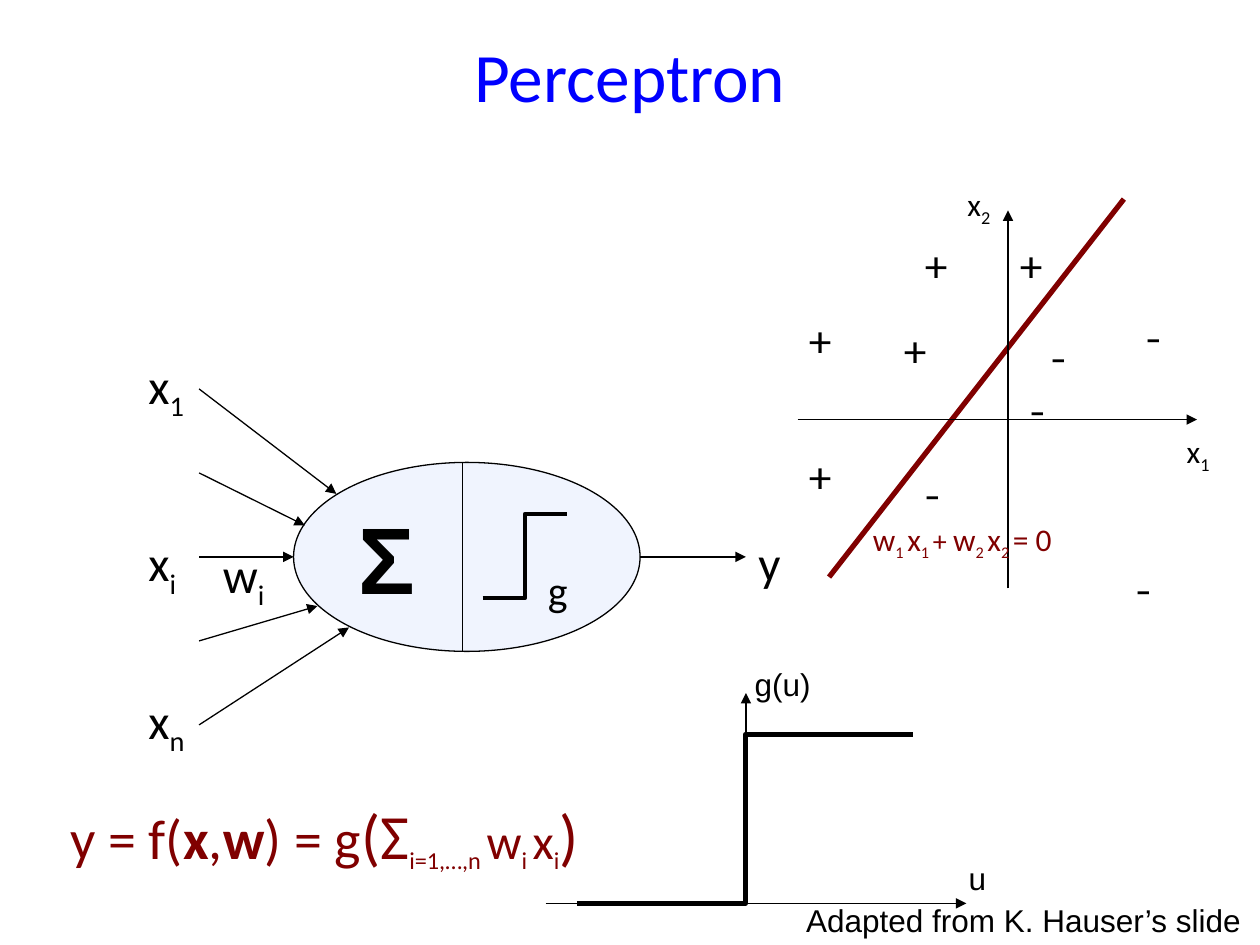
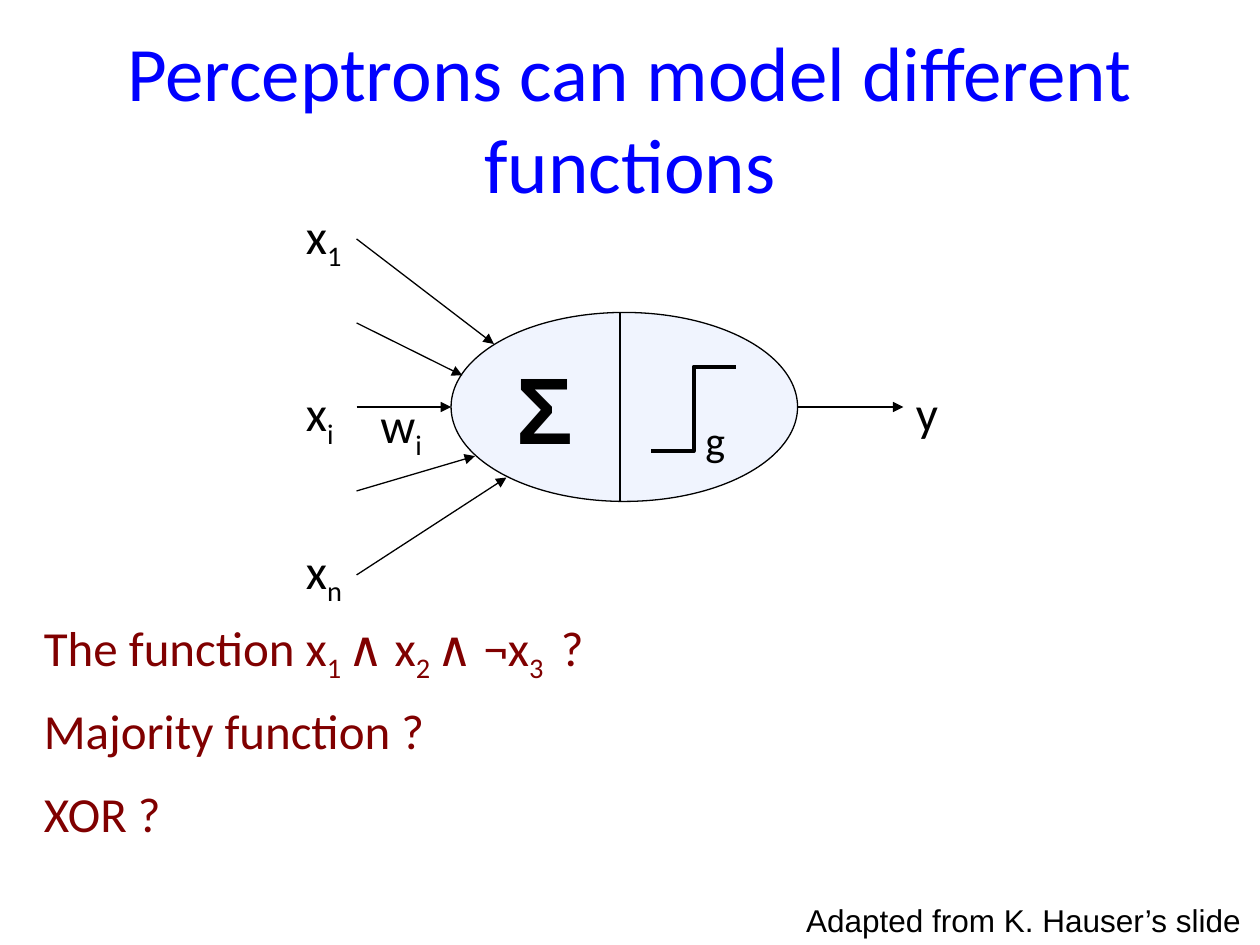
from dataclasses import dataclass

from lxml import etree
from pptx import Presentation
from pptx.dml.color import RGBColor
from pptx.enum.shapes import MSO_CONNECTOR, MSO_SHAPE
from pptx.enum.text import MSO_ANCHOR, MSO_AUTO_SIZE, PP_ALIGN
from pptx.oxml.ns import qn
from pptx.util import Inches, Pt

STRAIGHT = MSO_CONNECTOR.STRAIGHT
OVAL = MSO_SHAPE.OVAL
TOP = MSO_ANCHOR.TOP
MIDDLE = MSO_ANCHOR.MIDDLE
FIT_SHAPE = MSO_AUTO_SIZE.SHAPE_TO_FIT_TEXT
NO_FIT = MSO_AUTO_SIZE.NONE
CENTER = PP_ALIGN.CENTER
TITLE_ONLY = 5
SUBSCRIPT = "-25000"


@dataclass(frozen=True)
class Theme:
    blue: RGBColor = RGBColor(0x00, 0x00, 0xFF)
    maroon: RGBColor = RGBColor(0x80, 0x00, 0x00)
    black: RGBColor = RGBColor(0x00, 0x00, 0x00)
    pale: RGBColor = RGBColor(0xF0, 0xF4, 0xFE)
    main_font: str = "Calibri"
    plain_font: str = "Arial"
    sign_font: str = "Karla"
    title: float = 44
    short_title: float = 39.6
    sigma: float = 54
    bracket: float = 36
    formula: float = 32
    label: float = 28
    sign: float = 24
    small: float = 18
    tiny: float = 16
    thin: float = 0.75
    medium: float = 2.25
    thick: float = 3


THEME = Theme()


@dataclass(frozen=True)
class Part:
    text: str
    size: float = 0
    lowered: bool = False
    bold: bool = False


def low(text, size=0):
    return Part(text, size, lowered=True)


class SlideBuilder:
    def __init__(self, presentation, theme):
        self.presentation = presentation
        self.theme = theme
        self.slide = None
        self.shapes = None

    def new_slide(self, title, size, top=0.3, anchor=MIDDLE):
        layout = self.presentation.slide_layouts[TITLE_ONLY]
        self.slide = self.presentation.slides.add_slide(layout)
        self.shapes = self.slide.shapes
        shape = self.shapes.title
        shape.left, shape.top = Inches(0.5), Inches(top)
        shape.width, shape.height = Inches(9), Inches(1.25)
        frame = shape.text_frame
        frame.text = title
        frame.auto_size = NO_FIT
        frame.vertical_anchor = anchor
        paragraph = frame.paragraphs[0]
        paragraph.alignment = CENTER
        self.style(paragraph.font, self.theme.main_font, size, self.theme.blue)

    def start_group(self):
        self.shapes = self.slide.shapes.add_group_shape().shapes

    def end_group(self):
        self.shapes = self.slide.shapes

    def style(self, font, name, size, color):
        font.name = name
        font.size = Pt(size)
        font.color.rgb = color

    def text(self, left, top, width, height, parts, size, font=None,
             color=None, bold=False, wrap=False):
        box = self.shapes.add_textbox(
            Inches(left), Inches(top), Inches(width), Inches(height))
        frame = box.text_frame
        frame.word_wrap = wrap
        frame.auto_size = FIT_SHAPE
        paragraph = frame.paragraphs[0]
        self.style(paragraph.font, font or self.theme.main_font, size,
                   color or self.theme.black)
        paragraph.font.bold = bold
        for part in [Part(parts)] if isinstance(parts, str) else parts:
            run = paragraph.add_run()
            run.text = part.text
            if part.size:
                run.font.size = Pt(part.size)
            if part.bold:
                run.font.bold = True
            if part.lowered:
                run.font.element.set("baseline", SUBSCRIPT) if hasattr(
                    run.font, "element") else run._r.get_or_add_rPr().set(
                    "baseline", SUBSCRIPT)

    def line(self, start, end, arrow=False, color=None, width=None):
        connector = self.shapes.add_connector(
            STRAIGHT, *(Inches(value) for value in (*start, *end)))
        connector.line.color.rgb = color or self.theme.black
        connector.line.width = Pt(width or self.theme.thin)
        properties = connector.element.spPr
        if arrow:
            outline = properties.find(qn("a:ln"))
            etree.SubElement(outline, qn("a:tailEnd"), type="triangle")
        etree.SubElement(properties, qn("a:effectLst"))

    def arrow(self, start, end):
        self.line(start, end, arrow=True)

    def ellipse(self, left, top, width, height):
        shape = self.shapes.add_shape(
            OVAL, Inches(left), Inches(top), Inches(width), Inches(height))
        shape.shadow.inherit = False
        shape.fill.solid()
        shape.fill.fore_color.rgb = self.theme.pale
        shape.line.color.rgb = self.theme.black
        shape.line.width = Pt(self.theme.thin)

    def step(self, left, top, width, height, weight):
        middle, right, bottom = left + width / 2, left + width, top + height
        corners = [(middle, bottom), (middle, top), (right, top)]
        builder = self.shapes.build_freeform(Inches(left), Inches(bottom))
        builder.add_line_segments(
            [(Inches(x), Inches(y)) for x, y in corners], close=False)
        shape = builder.convert_to_shape()
        shape.shadow.inherit = False
        shape.fill.background()
        shape.line.color.rgb = self.theme.black
        shape.line.width = Pt(weight)

    def neuron(self, left, top, step_left, step_top):
        theme = self.theme
        middle = top + 0.75
        input_left = left - 0.75
        label_left = left - 1.25
        self.start_group()
        self.ellipse(left, top, 2.75, 1.5)
        self.line((left + 1.34, top), (left + 1.34, top + 1.5))
        self.text(left + 0.42, top + 0.25, 0.65, 1, "Σ", theme.sigma,
                  theme.plain_font, bold=True)
        tips = [(0.34, 0.25), (0.09, 0.5), (0, 0.75), (0.19, 1.14), (0.44, 1.31)]
        for index, (across, down) in enumerate(tips):
            self.arrow((input_left, middle + (index - 2) * 2 / 3),
                       (left + across, top + down))
        self.arrow((left + 2.75, middle), (left + 3.59, middle))
        self.text(left + 1.92, top + 0.76, 0.36, 0.51, "g", theme.sign)
        labels = [
            (label_left, -0.9, 0.51, [Part("x"), low("1")]),
            (label_left, 0.51, 0.45, [Part("x"), low("i")]),
            (label_left, 1.76, 0.51, [Part("x"), low("n")]),
            (left + 3.59, 0.51, 0.38, "y"),
            (left - 0.66, 0.6, 0.56, [Part("w"), low("i")]),
        ]
        for label_x, down, width, parts in labels:
            self.text(label_x, top + down, width, 0.57, parts, theme.label)
        self.step(step_left, step_top, 0.67, 0.67, theme.medium)
        self.end_group()

    def signs(self, sign, width, places):
        for left, top in places:
            self.text(left, top, width, 0.5, sign, self.theme.sign,
                      self.theme.sign_font)

    def credit(self):
        self.text(6.3, 7.1, 3.7, 0.4, "Adapted from K. Hauser’s slide",
                  self.theme.small, self.theme.plain_font)


def build_perceptron(builder):
    theme = builder.theme
    builder.new_slide("Perceptron", theme.short_title, top=0.21, anchor=TOP)
    builder.neuron(2.33, 3.67, 3.83, 4.08)
    output_formula = [
        Part("y = f("), Part("x", bold=True), Part(","), Part("w", bold=True),
        Part(") = g"), Part("(Σ", theme.bracket), low("i=1,…,n ", theme.sign),
        Part("w", theme.label), low("i ", theme.sign),
        Part("x", theme.label), low("i", theme.sign), Part(")", theme.bracket),
    ]
    builder.text(0.46, 6.27, 4.38, 0.71, output_formula, theme.formula,
                 color=theme.maroon)

    builder.arrow((4.33, 7.17), (7.67, 7.17))
    builder.arrow((5.92, 7.17), (5.92, 5.5))
    builder.step(4.58, 5.83, 2.67, 1.34, theme.thick)

    builder.line((6.58, 4.58), (8.92, 1.58), color=theme.maroon,
                 width=theme.thick)
    builder.start_group()
    builder.arrow((8, 4.67), (8, 1.67))
    builder.arrow((6.33, 3.33), (9.5, 3.33))
    builder.signs("+", 0.44, [(7.25, 1.83), (8, 1.83), (6.33, 3.5),
                              (7.08, 2.5), (6.33, 2.42)])
    builder.signs("-", 0.32, [(9, 2.42), (8.92, 4.42), (8.25, 2.58),
                              (8.08, 3), (7.25, 3.67)])
    builder.text(9.32, 3.38, 0.4, 0.4, [Part("x"), low("1")], theme.small)
    builder.text(7.58, 1.42, 0.41, 0.4, [Part("x"), low("2")], theme.small)
    builder.end_group()

    boundary = [
        Part("w"), low("1 ", theme.tiny), Part("x"), low("1 ", theme.tiny),
        Part("+ ", theme.tiny), Part("w"), low("2 ", theme.tiny), Part("x"),
        low("2 ", theme.tiny), Part("= 0"),
    ]
    builder.text(6.83, 4.08, 1.69, 0.4, boundary, theme.small,
                 color=theme.maroon)
    builder.text(5.89, 5.23, 0.65, 0.4, "g(u)", theme.small, theme.plain_font)
    builder.text(7.59, 6.77, 0.34, 0.4, "u", theme.small, theme.plain_font)
    builder.credit()


def build_functions(builder):
    theme = builder.theme
    builder.new_slide("Perceptrons can model different functions", theme.title)
    builder.neuron(3.58, 2.48, 5.17, 2.91)
    conjunction = [
        Part("The function x"), low("1 "), Part("∧ x"), low("2 "),
        Part("∧ ¬x"), low("3 "), Part(" ?"),
    ]
    questions = [conjunction, "Majority function ?", "XOR ?"]
    for index, question in enumerate(questions):
        builder.text(0.25, 4.85 + 0.66 * index, 9.08, 0.57, question,
                     theme.label, color=theme.maroon, wrap=True)
    builder.credit()


def main():
    presentation = Presentation()
    presentation.slide_width = Inches(10)
    presentation.slide_height = Inches(7.5)
    builder = SlideBuilder(presentation, THEME)
    build_perceptron(builder)
    build_functions(builder)
    presentation.save("out.pptx")


if __name__ == "__main__":
    main()
